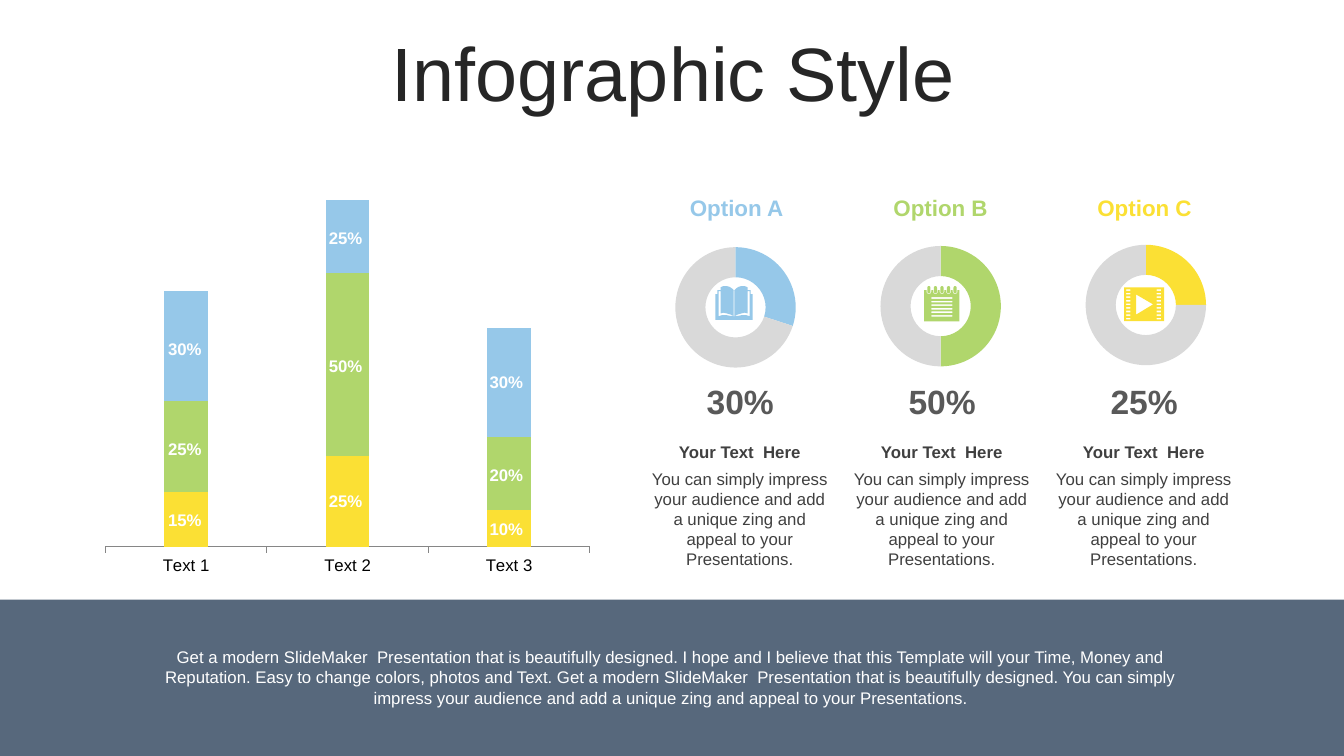
from math import cos, pi, sin
from lxml import etree
from pptx import Presentation
from pptx.chart.data import CategoryChartData as ChartData
from pptx.dml.color import RGBColor
from pptx.enum.chart import XL_CHART_TYPE as Kind, XL_TICK_MARK as Tick
from pptx.enum.shapes import MSO_SHAPE as Preset
from pptx.enum.text import MSO_ANCHOR as Anchor, PP_ALIGN as Align
from pptx.oxml.ns import qn
from pptx.util import Cm, Pt

rgb = RGBColor.from_string
BLUE, GREEN, YELLOW, GREY = "96C8E9", "B0D66C", "FBE034", "D9D9D9"

deck = Presentation()
deck.slide_width, deck.slide_height = Cm(33.87), Cm(19.05)
slide = deck.slides.add_slide(deck.slide_layouts[6])
shapes = slide.shapes


def write(words, x, y, w, h, size, color, bold=False, anchor=Anchor.TOP):
    """Add a centred, wrapping text box and return its paragraph."""
    frame = shapes.add_textbox(Cm(x), Cm(y), Cm(w), Cm(h)).text_frame
    frame.word_wrap = True
    frame.vertical_anchor = anchor
    para = frame.paragraphs[0]
    para.text = words
    para.alignment = Align.CENTER
    font = para.font
    font.name, font.size, font.bold = "Arial", Pt(size), bold
    font.color.rgb = rgb(color)
    return para


def plot(kind, x, y, w, h, cats, series, area):
    """Add a chart whose inner plot area has fixed fractions."""
    data = ChartData()
    data.categories = cats
    for num, vals in enumerate(series, 1):
        data.add_series(f"Series {num}", vals)
    chart = shapes.add_chart(kind, Cm(x), Cm(y), Cm(w), Cm(h), data).chart
    chart.has_legend = chart.has_title = False
    chart.font.name, chart.font.size = "Arial", Pt(18)
    chart.font.color.rgb = rgb("000000")
    root = chart.element.find(".//" + qn("c:plotArea"))
    for old in root.findall(qn("c:layout")):
        root.remove(old)
    layout = etree.Element(qn("c:layout"))
    manual = etree.SubElement(layout, qn("c:manualLayout"))
    pairs = [("layoutTarget", "inner"), ("xMode", "edge"), ("yMode", "edge")]
    for tag, val in pairs + list(zip("xywh", area)):
        etree.SubElement(manual, qn("c:" + tag)).set("val", str(val))
    root.insert(0, layout)
    return chart


# Title
title = write("Infographic Style", 0.89, 0.94, 32.16, 2.01, 54, "262626",
              anchor=Anchor.MIDDLE)
title.line_spacing = 0.9

# Footer band
band = shapes.add_shape(Preset.RECTANGLE, 0, Cm(15.11), Cm(33.87), Cm(3.94))
band.shadow.inherit = False
band.fill.solid()
band.fill.fore_color.rgb = rgb("57687C")
band.line.fill.background()
write("Get a modern SlideMaker  Presentation that is beautifully designed. "
      "I hope and I believe that this Template will your Time, Money and "
      "Reputation. Easy to change colors, photos and Text. Get a modern "
      "SlideMaker  Presentation that is beautifully designed. You can simply "
      "impress your audience and add a unique zing and appeal to your "
      "Presentations.", 3.51, 16.18, 26.8, 1.8, 12, "FFFFFF")

# Stacked columns
chart = plot(Kind.COLUMN_STACKED, 2.13, 4.57, 13.13, 10.24,
             ["Text 1", "Text 2", "Text 3"],
             [(30, 50, 20), (50, 100, 40), (60, 40, 60)],
             (0.04, 0, 0.93, 0.9))
bars = chart.plots[0]
bars.gap_width, bars.overlap = 270, 100
for part, color in zip(bars.series, (YELLOW, GREEN, BLUE)):
    part.format.fill.solid()
    part.format.fill.fore_color.rgb = rgb(color)
scale = chart.value_axis
scale.minimum_scale, scale.maximum_scale = 0, 200
scale.has_major_gridlines = False
scale.visible = False
axis = chart.category_axis
axis.major_tick_mark = Tick.OUTSIDE
axis.format.line.color.rgb = rgb("868686")
axis.format.line.width = Pt(0.75)
axis.tick_labels.font.name = "Arial"
axis.tick_labels.font.size = Pt(12)

# Column labels: share and top edge, from the bottom segment up
marks = [
    [("15%", 12.73), ("25%", 10.92), ("30%", 8.41)],
    [("25%", 12.24), ("50%", 8.84), ("25%", 5.61)],
    [("10%", 12.95), ("20%", 11.58), ("30%", 9.25)],
]
for col, stack in enumerate(marks):
    for share, top in stack:
        write(share, 3.86 + 4.05 * col, top, 1.6, 0.76, 12, "FFFFFF", True)

# Options with rings
options = [("A", 30, BLUE), ("B", 50, GREEN), ("C", 25, YELLOW)]
for col, (name, share, color) in enumerate(options):
    ring = plot(Kind.DOUGHNUT, 16.89 + 5.17 * col, 6.1 - 0.03 * col, 3.23, 3.23,
                ["1", "2"], [(share, 100 - share)], (0.04, 0.04, 0.98, 0.94))
    ring.element.find(".//" + qn("c:holeSize")).set("val", "80")
    for num, tint in enumerate((color, GREY)):
        fill = ring.plots[0].series[0].points[num].format.fill
        fill.solid()
        fill.fore_color.rgb = rgb(tint)
    left = 16.13 + 5.09 * col
    write(f"Option {name}", 16.48 + 5.14 * col, 4.78, 4.17, 0.94, 16, color, True)
    write(f"{share}%", left + 1.32, 9.47, 2.41, 1.27, 24, "595959", True,
          Anchor.MIDDLE)
    write("Your Text  Here", left, 11, 5.03, 0.76, 12, "404040", True)
    write("You can simply impress your audience and add a unique zing and "
          "appeal to your Presentations.", left, 11.68, 5.03, 2.82, 12, "404040")

# Book outlines, in hundredths of a centimetre around the spine
cover = [(1, 10), (5, 6), (11, 2), (18, 0), (27, 0), (34, 3), (34, 10),
         (42, 10), (42, 20), (47, 20), (47, 85)]
gap = [(1, 76), (8, 72), (18, 69), (27, 67), (34, 69), (34, 13), (39, 13),
       (39, 76), (30, 73), (20, 73), (10, 75)]
book = [cover + [(-x, y) for x, y in reversed(cover)],
        gap, [(-x, y) for x, y in gap],
        [(-1, 10), (1, 10), (1, 76), (-1, 76)]]

# Notepad outlines: page with notches, then rings and ruled lines
arc = [pi * step / 8 for step in range(9)]
page, rings = [(0, 10)], []
for num in range(5):
    mid = 12 + 16.5 * num
    page += [(mid - 6, 10)]
    page += [(mid - 6 * cos(turn), 14 + 6 * sin(turn)) for turn in arc]
    page += [(mid + 6, 10)]
    rings.append([(mid - 4 * cos(turn), 14 + 4 * sin(turn)) for turn in arc]
                 + [(mid + 4 * cos(turn), 4 - 4 * sin(turn)) for turn in arc])
page += [(89, 10), (89, 89), (0, 89)]
rules = [[(18, y), (71, y), (71, y + 4), (18, y + 4)]
         for y in range(28, 80, 9)]
pad = [page] + rings + rules

# Film outlines: frame, play sign and two rows of holes
film = [[(0, 0), (101, 0), (101, 85), (0, 85)], [(30, 18), (30, 69), (73, 43)]]
film += [[(x, y), (x + 11, y), (x + 11, y + 4), (x, y + 4)]
         for x in (5, 82) for y in range(5, 80, 9)]

# Icons in the rings
icons = [(book, 18.5, 7.21, BLUE), (pad, 23.29, 7.21, GREEN),
         (film, 28.33, 7.24, YELLOW)]
for loops, x, y, color in icons:
    pen = None
    for loop in loops:
        dots = [(10 * across, 10 * down) for across, down in loop]
        if pen is None:
            pen = shapes.build_freeform(*dots[0], scale=Cm(0.001))
        else:
            pen.move_to(*dots[0])
        pen.add_line_segments(dots[1:], close=True)
    icon = pen.convert_to_shape(Cm(x), Cm(y))
    icon.shadow.inherit = False
    icon.fill.solid()
    icon.fill.fore_color.rgb = rgb(color)
    icon.line.fill.background()

deck.save("out.pptx")
